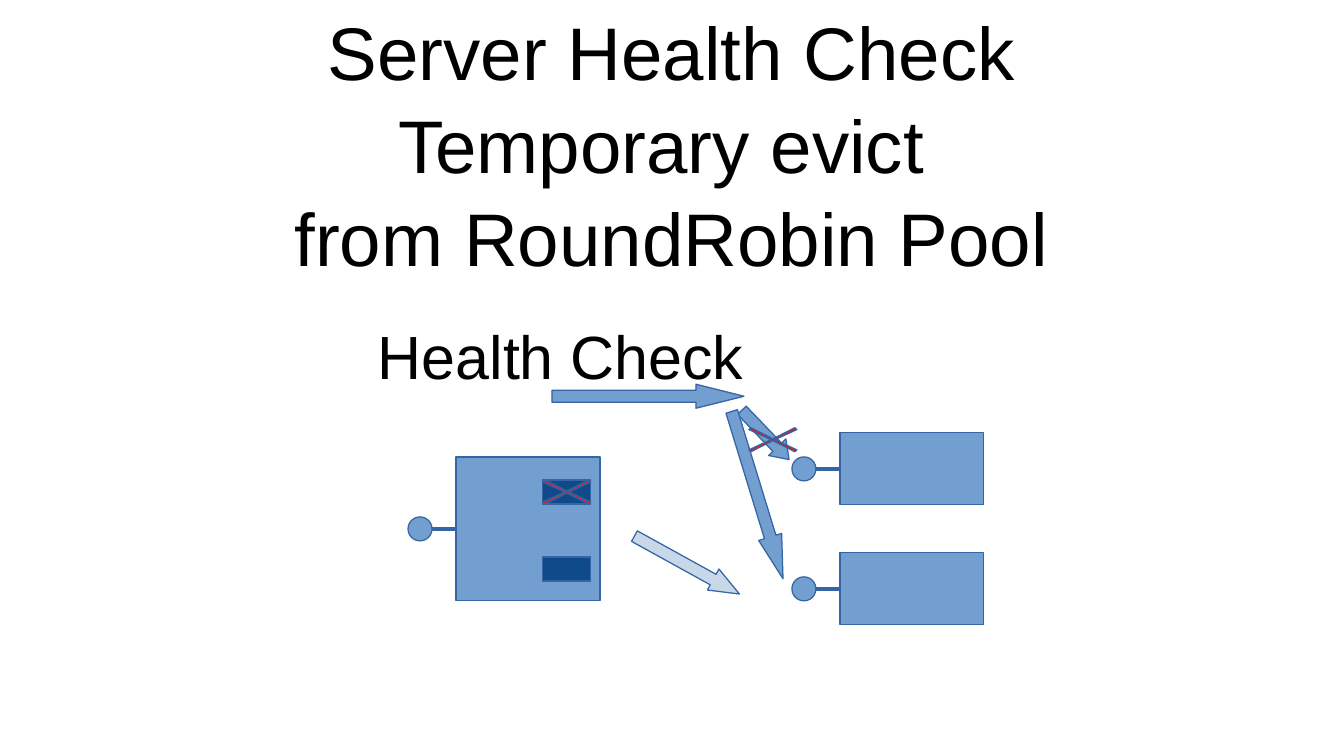
import math
import pptx
import pptx.dml.color
import pptx.enum.shapes
import pptx.enum.text
import pptx.oxml.ns
import pptx.util
from lxml import etree

Pt = pptx.util.Pt
SHAPE = pptx.enum.shapes.MSO_SHAPE
COLORS = {"text": "000000", "node": "729FCF", "line": "3465A4",
          "request": "C8D8E8", "slot": "0F4B8B", "cross": "FF0A0A"}
U = 14.17  # grid unit
TITLE = "Server Health Check\vTemporary evict \vfrom RoundRobin Pool"


def rgb(name):
    return pptx.dml.color.RGBColor.from_string(COLORS[name])


def set_values(obj, values):
    for name, value in values.items():
        setattr(obj, name, value)


def paint(sp, fill):
    sp.shadow.inherit = False
    sp.fill.solid()
    sp.fill.fore_color.rgb = rgb(fill)
    sp.line.color.rgb = rgb("line")
    sp.line.width = Pt(0)


def add_block(s, shape, x, y, w, h, fill="node"):
    sp = s.shapes.add_shape(shape, Pt(x), Pt(y), Pt(w), Pt(h))
    paint(sp, fill)
    return sp


def write(tf, text, size, frame, para):
    set_values(tf, frame)
    p = tf.paragraphs[0]
    p.text = text
    set_values(p, para)
    for r in p.runs:
        set_values(r.font, {"size": Pt(size), "name": "Arial", "bold": False})
        r.font.color.rgb = rgb("text")


def add_title(s, x, y, w, h):
    sp = s.shapes.title
    set_values(sp, {"left": Pt(x), "top": Pt(y), "width": Pt(w), "height": Pt(h)})
    write(sp.text_frame, TITLE, 44,
          {"margin_left": 0, "margin_right": 0, "margin_top": Pt(4), "margin_bottom": 0,
           "word_wrap": True, "auto_size": pptx.enum.text.MSO_AUTO_SIZE.NONE,
           "vertical_anchor": pptx.enum.text.MSO_ANCHOR.MIDDLE},
          {"alignment": pptx.enum.text.PP_ALIGN.CENTER, "line_spacing": 1.04})


def add_label(s, x, y, w, h):
    sp = s.shapes.add_textbox(Pt(x), Pt(y), Pt(w), Pt(h))
    write(sp.text_frame, "Health Check", 36, {"word_wrap": False},
          {"alignment": pptx.enum.text.PP_ALIGN.LEFT})


def add_node(s, x, y, w, h):
    """A box with a round port joined to its left side."""
    mid = y + h / 2
    add_block(s, SHAPE.RECTANGLE, x, y, w, h)
    add_block(s, SHAPE.OVAL, x - 2 * U, mid - U / 2, U, U)
    c = s.shapes.add_connector(pptx.enum.shapes.MSO_CONNECTOR.STRAIGHT,
                               Pt(x - U), Pt(mid), Pt(x), Pt(mid))
    c.line.color.rgb = rgb("line")
    c.line.width = Pt(0)
    etree.SubElement(c._element.spPr, pptx.oxml.ns.qn("a:effectLst"))


def add_arrow(s, tail, tip, fill="node"):
    """A block arrow whose head takes a quarter of its length."""
    dx, dy = tip[0] - tail[0], tip[1] - tail[1]
    length = math.hypot(dx, dy)
    sp = add_block(s, SHAPE.RIGHT_ARROW, (tail[0] + tip[0] - length) / 2,
                   (tail[1] + tip[1] - U) / 2, length, U, fill)
    sp.adjustments[0] = 0.5
    sp.adjustments[1] = length / 4 / U
    sp.rotation = math.degrees(math.atan2(dy, dx))


def add_cross(s, x, y, w, h):
    cx, cy, dx, dy = w / 2, h / 2, 1.2, 1.1
    points = [(0, dy), (dx, 0), (cx, cy - dy / 2), (w - dx, 0), (w, dy),
              (cx + dx, cy), (w, h - dy), (w - dx, h), (cx, cy + dy / 2),
              (dx, h), (0, h - dy), (cx - dx, cy)]
    points = [(Pt(x + px), Pt(y + py)) for px, py in points]
    builder = s.shapes.build_freeform(*points[0])
    builder.add_line_segments(points[1:], close=True)
    paint(builder.convert_to_shape(), "cross")


def add_diagram(s, x, y):
    """x, y is the top left corner of the balancer box."""
    # Balancer and servers
    add_node(s, x, y, 6 * U, 6 * U)
    for top in (y - U, y + 4 * U):
        add_node(s, x + 16 * U, top, 6 * U, 3 * U)

    # Request and health check arrows
    add_arrow(s, (x + 105.4, y + 46.8), (x + 167.4, y + 81), "request")
    add_arrow(s, (x + 56.7, y - 35.8), (x + 170.1, y - 35.8))
    add_arrow(s, (x + 168.8, y - 27.5), (x + 196.7, y + 1.6))
    add_arrow(s, (x + 162.8, y - 26.8), (x + 193.1, y + 72))
    add_label(s, x - 53.3, y - 85.2, 230.4, 47.5)

    # Pool entries and failure marks
    slot_x, slot_y = x + 51.3, y + 13.7
    for top in (slot_y, slot_y + 45.4):
        add_block(s, SHAPE.RECTANGLE, slot_x, top, 2 * U, U, "slot")
    for left, top in ((x + 173, y - 17.2), (slot_x, slot_y)):
        add_cross(s, left, top, 2 * U, U)


def main():
    prs = pptx.Presentation()
    set_values(prs, {"slide_width": Pt(793.7), "slide_height": Pt(446.4)})
    s = prs.slides.add_slide(prs.slide_layouts[5])
    add_title(s, 39.6, 7.9, 714.2, 147.6)
    add_diagram(s, 269.3, 269.8)
    prs.save("out.pptx")


if __name__ == "__main__":
    main()
